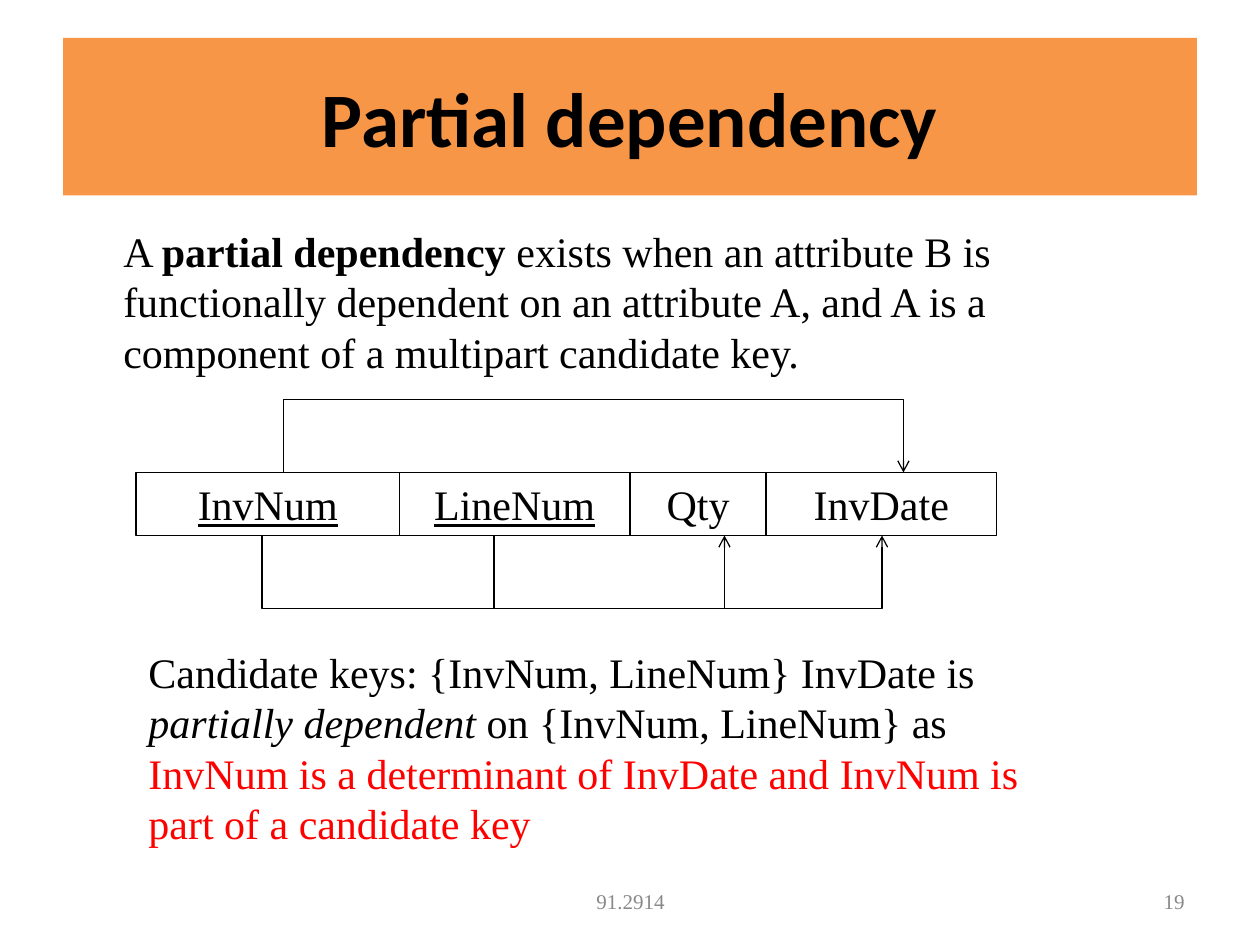
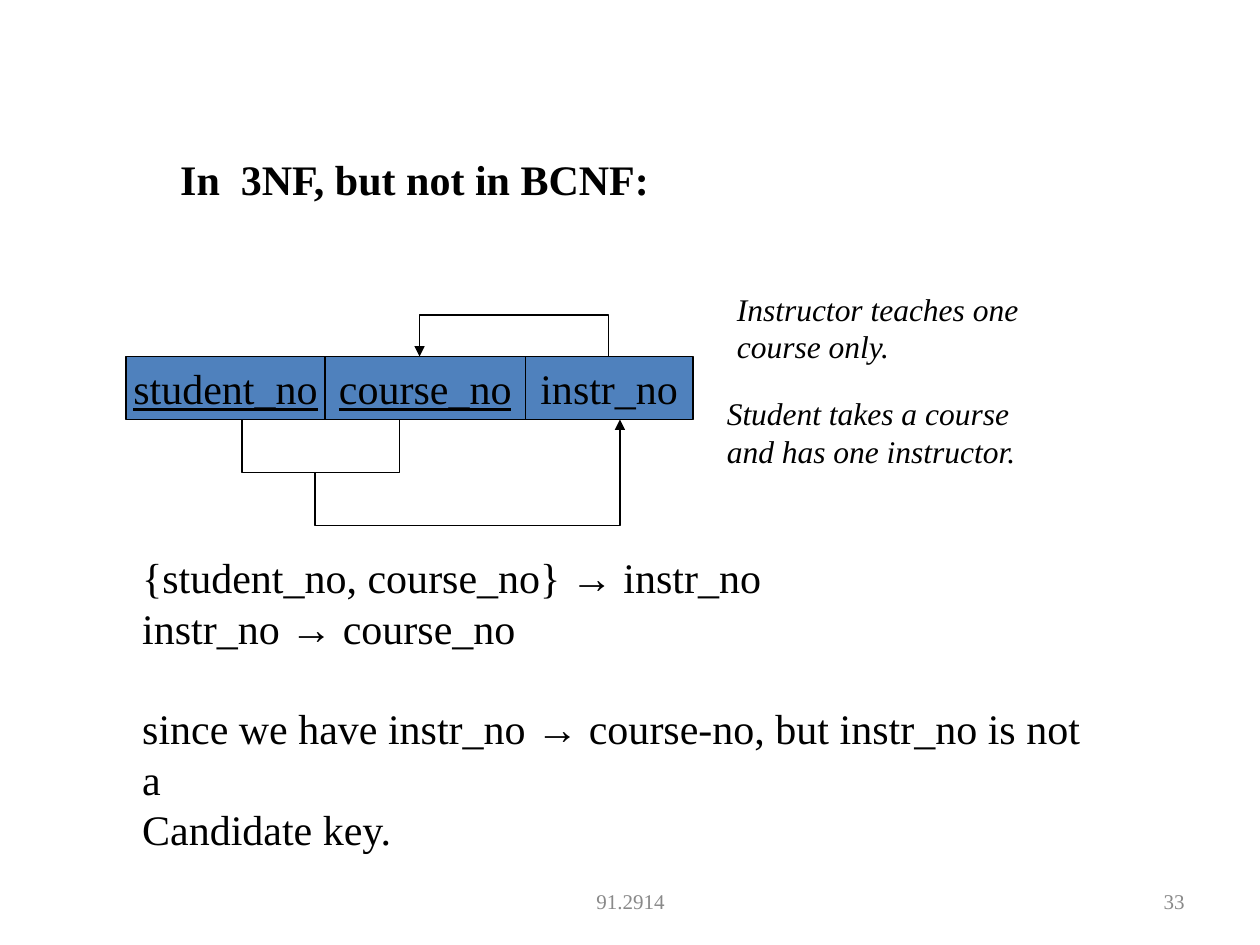
from itertools import accumulate

from lxml.etree import SubElement
from pptx import Presentation
from pptx.dml.color import RGBColor
from pptx.enum.shapes import MSO_SHAPE as Shape
from pptx.enum.text import MSO_ANCHOR as Anchor, MSO_AUTO_SIZE as AutoSize, PP_ALIGN as Align
from pptx.oxml.ns import qn
from pptx.util import Inches, Pt

COLORS = {
    "text": "000000",
    "footer": "898989",
    "band": "F79646",
    "cell": "4F81BD",
    "accent": "FF0000",
}
SERIF = "Times New Roman"
ARROW = ("\u2192", {"font": "Arial"})
LINE_WIDTH = Pt(0.74)
CELL_HEIGHT = 0.5


def rgb(name):
    """Return the named palette colour."""
    return RGBColor.from_string(COLORS[name])


def add_run(paragraph, text, size=24, font=SERIF, color="text",
            bold=False, italic=False, underline=False):
    """Append one formatted run to a paragraph."""
    run = paragraph.add_run()
    run.text = text
    run.font.size = Pt(size)
    run.font.name = font
    run.font.color.rgb = rgb(color)
    run.font.bold = bold
    run.font.italic = italic
    run.font.underline = underline


def write_text(frame, paragraphs, align=Align.LEFT, anchor=Anchor.TOP,
               wrap=True, gaps=None, **style):
    """Fill a frame; a paragraph is a list of strings or (string, style) pairs."""
    frame.word_wrap = wrap
    frame.auto_size = AutoSize.NONE
    frame.vertical_anchor = anchor
    frame.margin_left = frame.margin_right = Inches(0.1)
    frame.margin_top = frame.margin_bottom = Inches(0.05)
    for index, runs in enumerate(paragraphs):
        paragraph = frame.add_paragraph() if index else frame.paragraphs[0]
        paragraph.alignment = align
        paragraph.space_before = Pt((gaps or {}).get(index, 0))
        for run in runs:
            text, extra = (run, {}) if isinstance(run, str) else run
            add_run(paragraph, text, **{**style, **extra})


class Deck:
    """Holds the presentation, its shared style and the current slide."""

    def __init__(self):
        """Start an empty 10 by 7.5 inch presentation."""
        self.presentation = Presentation()
        self.presentation.slide_width = Inches(10)
        self.presentation.slide_height = Inches(7.5)
        self.slide = None

    def new_slide(self, number):
        """Add a title-only slide with the shared footer."""
        layout = self.presentation.slide_layouts.get_by_name("Title Only")
        self.slide = self.presentation.slides.add_slide(layout)
        footer = {"size": 12, "color": "footer", "anchor": Anchor.MIDDLE}
        self.text(3.42, 6.95, 3.17, 0.4, [["91.2914"]], align=Align.CENTER, **footer)
        self.text(7.17, 6.95, 2.33, 0.4, [[str(number)]], align=Align.RIGHT, **footer)

    def title(self, text, left, top, width, height, fill=None, **style):
        """Place and format the title placeholder."""
        title = self.slide.shapes.title
        title.left, title.top = Inches(left), Inches(top)
        title.width, title.height = Inches(width), Inches(height)
        if fill:
            title.fill.solid()
            title.fill.fore_color.rgb = rgb(fill)
        write_text(title.text_frame, [[text]], bold=True, **style)

    def text(self, left, top, width, height, paragraphs, **style):
        """Add a text box."""
        box = self.slide.shapes.add_textbox(
            Inches(left), Inches(top), Inches(width), Inches(height))
        write_text(box.text_frame, paragraphs, **style)

    def relation(self, left, top, widths, names, keys, fill=None, **style):
        """Draw a row of attribute cells, underlining the first `keys` names."""
        edges = accumulate(widths, initial=left)
        for index, (edge, width, name) in enumerate(zip(edges, widths, names)):
            cell = self.slide.shapes.add_shape(
                Shape.RECTANGLE, Inches(edge), Inches(top),
                Inches(width), Inches(CELL_HEIGHT))
            cell.shadow.inherit = False
            if fill:
                cell.fill.solid()
                cell.fill.fore_color.rgb = rgb(fill)
            else:
                cell.fill.background()
            cell.line.color.rgb = rgb("text")
            cell.line.width = LINE_WIDTH
            write_text(cell.text_frame, [[name]], align=Align.CENTER,
                       underline=index < keys, **style)

    def bracket(self, start_x, start_y, level, end_x, end_y, arrow=None):
        """Draw a three-sided dependency line that turns at height `level`."""
        points = [(start_x, level), (end_x, level), (end_x, end_y)]
        builder = self.slide.shapes.build_freeform(
            Inches(start_x), Inches(start_y), scale=1.0)
        builder.add_line_segments(
            [(Inches(x), Inches(y)) for x, y in points], close=False)
        line = builder.convert_to_shape()
        line.shadow.inherit = False
        line.fill.background()
        line.line.color.rgb = rgb("text")
        line.line.width = LINE_WIDTH
        if arrow:
            SubElement(line.line._get_or_add_ln(), qn("a:tailEnd"), type=arrow)


def partial_dependency(deck):
    """Build the slide that defines a partial dependency."""
    deck.new_slide(19)
    deck.title("Partial dependency", 0.5, 0.3, 9, 1.25, fill="band", size=44,
               font="Calibri", align=Align.CENTER, anchor=Anchor.MIDDLE)
    deck.text(0.88, 1.74, 8.25, 1.3, [[
        "A ", ("partial dependency", {"bold": True}),
        " exists when an attribute B is functionally dependent on an attribute A, "
        "and A is a component of a multipart candidate key."]])

    top = 3.75
    bottom = top + CELL_HEIGHT
    deck.relation(1.08, top, [2.09, 1.83, 1.08, 1.83],
                  ["InvNum", "LineNum", "Qty", "InvDate"], keys=2)
    for start, end in [(3.92, 5.75), (2.08, 7)]:
        deck.bracket(start, bottom, bottom + 0.58, end, bottom, arrow="arrow")
    deck.bracket(2.25, top, top - 0.58, 7.17, top, arrow="arrow")

    deck.text(1.08, 5.08, 7.58, 1.7, [[
        "Candidate keys: {InvNum, LineNum} InvDate is ",
        ("partially dependent", {"italic": True}),
        " on {InvNum, LineNum} as ",
        ("InvNum is a determinant of InvDate and InvNum is part of a candidate key",
         {"color": "accent"})]])


def third_normal_form(deck):
    """Build the slide with a relation in 3NF but not in BCNF."""
    deck.new_slide(33)
    deck.title("In  3NF, but not in BCNF:", 1.33, 1.17, 4.33, 0.5)

    top = 2.83
    bottom = top + CELL_HEIGHT
    deck.relation(1, top, [1.58, 1.59, 1.33],
                  ["student_no", "course_no", "instr_no"], keys=2,
                  fill="cell", anchor=Anchor.MIDDLE, wrap=False)
    join = bottom + 0.42
    deck.bracket(1.92, bottom, join, 3.17, bottom)
    deck.bracket(2.5, join, join + 0.42, 4.92, bottom, arrow="triangle")
    deck.bracket(4.83, top, top - 0.33, 3.33, top, arrow="triangle")

    for left, note_top, note in [
            (5.75, 2.25, "Instructor teaches one course only."),
            (5.67, 3.08, "Student takes a course and has one instructor.")]:
        deck.text(left, note_top, 2.83, 0.7, [[note]], size=18, italic=True)

    deck.text(1.03, 4.33, 7.81, 2.1, [
        ["{student_no, course_no} ", ARROW, " instr_no"],
        ["instr_no ", ARROW, " course_no"],
        ["since we have instr_no ", ARROW, " course-no, but instr_no is not a"],
        ["Candidate key."]], gaps={2: 28.8})


def main():
    """Build and save the presentation."""
    deck = Deck()
    partial_dependency(deck)
    third_normal_form(deck)
    deck.presentation.save("out.pptx")


main()
